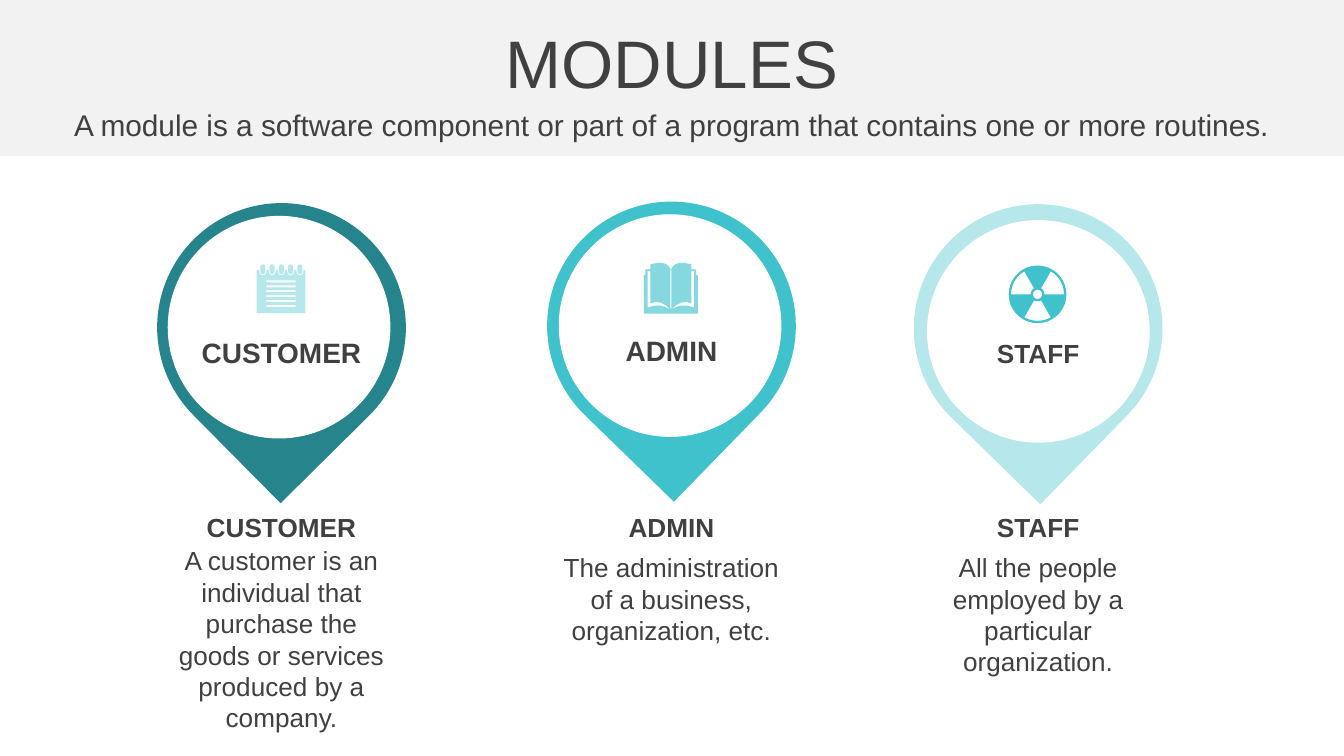
import math
from collections import namedtuple

from pptx import Presentation
from pptx import util as u
from pptx.dml.color import RGBColor
from pptx.enum import shapes, text

BAND = RGBColor(0xF2, 0xF2, 0xF2)
INK = RGBColor(0x40, 0x40, 0x40)
WHITE = RGBColor(0xFF, 0xFF, 0xFF)
DEEP = RGBColor(0x26, 0x85, 0x8C)
TEAL = RGBColor(0x3F, 0xC2, 0xCB)
SOFT = RGBColor(0x85, 0xD8, 0xDE)
PALE = RGBColor(0xB6, 0xE8, 0xEB)

Box = namedtuple("Box", "left top width height")
Icon = namedtuple("Icon", "contours width height color")
Module = namedtuple(
    "Module", "name label_size sentence left top color turn hub icon body_top body_height"
)


def inside(box, left, top, width, height):
    return Box(box.left + left, box.top + top, width, height)


def lengths(box):
    return [u.Cm(value) for value in box]


def paint(shape, fill, line=None):
    shape.shadow.inherit = False
    shape.fill.solid()
    shape.fill.fore_color.rgb = fill
    if line is None:
        shape.line.fill.background()
    else:
        shape.line.color.rgb = line
        shape.line.width = u.Pt(0.5)
    return shape


def add_shape(page, kind, box, fill, line=None):
    return paint(page.shapes.add_shape(kind, *lengths(box)), fill, line)


def add_text(page, box, words, size=14, bold=False, anchor=text.MSO_ANCHOR.MIDDLE, margin_top=0.13):
    frame = page.shapes.add_textbox(*lengths(box)).text_frame
    frame.word_wrap = True
    frame.vertical_anchor = anchor
    frame.margin_top = u.Cm(margin_top)
    para = frame.paragraphs[0]
    para.alignment = text.PP_ALIGN.CENTER
    span = para.add_run()
    span.text = words
    span.font.name = "Arial"
    span.font.size = u.Pt(size)
    span.font.bold = bold
    span.font.color.rgb = INK


def arc(x, y, radius, start=0, end=360):
    steps = max(2, math.ceil(abs(end - start) / 10))
    angles = [math.radians(start + (end - start) * i / steps) for i in range(steps + 1)]
    return [(x + radius * math.cos(a), y + radius * math.sin(a)) for a in angles]


def rectangle(left, top, right, bottom):
    return [(left, top), (right, top), (right, bottom), (left, bottom)]


def mirror(points):
    return [(1 - x, y) for x, y in reversed(points)]


def notepad_contours():
    centres = [0.13 + 0.19 * i for i in range(5)]
    edge = [(0, 0.11)]
    for x in centres:
        edge += [(x - 0.07, 0.11), *arc(x, 0.15, 0.07, 180, 0), (x + 0.07, 0.11)]
    edge += [(1, 0.11), (1, 1), (0, 1)]
    rings = [arc(x, 0.05, 0.05, 180, 360) + arc(x, 0.15, 0.05, 0, 180) for x in centres]
    rules = [rectangle(0.2, 0.33 + 0.1 * i, 0.8, 0.37 + 0.1 * i) for i in range(6)]
    return [edge, *rings, *rules]


def book_contours():
    half = [(0.5, 0.14), (0.53, 0.08), (0.58, 0.03), (0.66, 0), (0.75, 0), (0.88, 0.03),
            (0.88, 0.13), (0.97, 0.13), (0.97, 0.24), (1, 0.24), (1, 1)]
    slit = [(0.51, 0.92), (0.6, 0.87), (0.7, 0.84), (0.8, 0.84), (0.93, 0.88), (0.93, 0.16),
            (0.88, 0.16), (0.88, 0.8), (0.8, 0.77), (0.7, 0.78), (0.6, 0.83)]
    spine = rectangle(0.49, 0.14, 0.51, 0.9)
    return [half + mirror(half), slit, mirror(slit), spine]


def hazard_contours():
    wedges = [
        arc(0.5, 0.5, 0.46, start, start + 60) + arc(0.5, 0.5, 0.12, start + 60, start)
        for start in (60, 180, 300)
    ]
    return [arc(0.5, 0.5, 0.5), arc(0.5, 0.5, 0.08), *wedges]


def add_icon(page, box, icon):
    builder = None
    for contour in icon.contours:
        points = [
            (u.Cm(box.left + x * box.width), u.Cm(box.top + y * box.height)) for x, y in contour
        ]
        if builder is None:
            builder = page.shapes.build_freeform(*points[0], scale=1.0)
        else:
            builder.move_to(*points[0])
        builder.add_line_segments(points[1:], close=True)
    paint(builder.convert_to_shape(), icon.color)


def add_header(page, box):
    add_shape(page, shapes.MSO_SHAPE.RECTANGLE, box, BAND)
    add_text(page, inside(box, 0, 0.36, box.width, 1.6), "MODULES", size=36)
    add_text(
        page,
        inside(box, 0, 1.96, box.width, 0.79),
        "A module is a software component or part of a program that contains one or more routines.",
        size=16,
    )


def add_pin(page, box, module):
    drop = add_shape(page, shapes.MSO_SHAPE.TEAR, box, module.color)
    drop.rotation = module.turn
    hub = inside(box, *module.hub, 4.19, 4.19)
    add_shape(page, shapes.MSO_SHAPE.OVAL, hub, WHITE, line=WHITE)
    icon = module.icon
    add_icon(page, inside(box, 2.34 - icon.width / 2, 1.16, icon.width, icon.height), icon)
    label = inside(box, 0.52, 2.37, 3.66, 0.88)
    add_text(page, label, module.name, size=module.label_size, bold=True)


def add_caption(page, box, module):
    add_text(page, inside(box, 0, 0, box.width, 0.86), module.name, bold=True)
    add_text(
        page,
        Box(box.left, module.body_top, box.width, module.body_height),
        module.sentence,
        anchor=text.MSO_ANCHOR.TOP,
        margin_top=0.19,
    )


def main():
    notepad = Icon(notepad_contours(), 0.92, 0.92, PALE)
    book = Icon(book_contours(), 1.02, 0.96, SOFT)
    hazard = Icon(hazard_contours(), 1.09, 1.09, TEAL)
    modules = [
        Module("CUSTOMER", 15,
               "A customer is an individual that purchase the goods or services produced by a company.",
               2.97, 3.84, DEEP, 135.3, (0.21, 0.25), notepad, 10.11, 3.84),
        Module("ADMIN", 15, "The administration of a business, organization, etc.",
               10.34, 3.81, TEAL, 134.2, (0.23, 0.25), book, 10.24, 2.64),
        Module("STAFF", 14, "All the people employed by a particular organization.",
               17.27, 3.86, PALE, 134.3, (0.26, 0.31), hazard, 10.24, 3.25),
    ]
    deck = Presentation()
    deck.slide_width = u.Cm(25.4)
    deck.slide_height = u.Cm(14.29)
    page = deck.slides.add_slide(deck.slide_layouts[6])
    add_header(page, Box(0, 0, 25.4, 2.95))
    for module in modules:
        add_pin(page, Box(module.left, module.top, 4.7, 4.7), module)
        add_caption(page, Box(module.left - 0.05, 9.54, 4.8, 0.86), module)
    deck.save("out.pptx")


if __name__ == "__main__":
    main()
